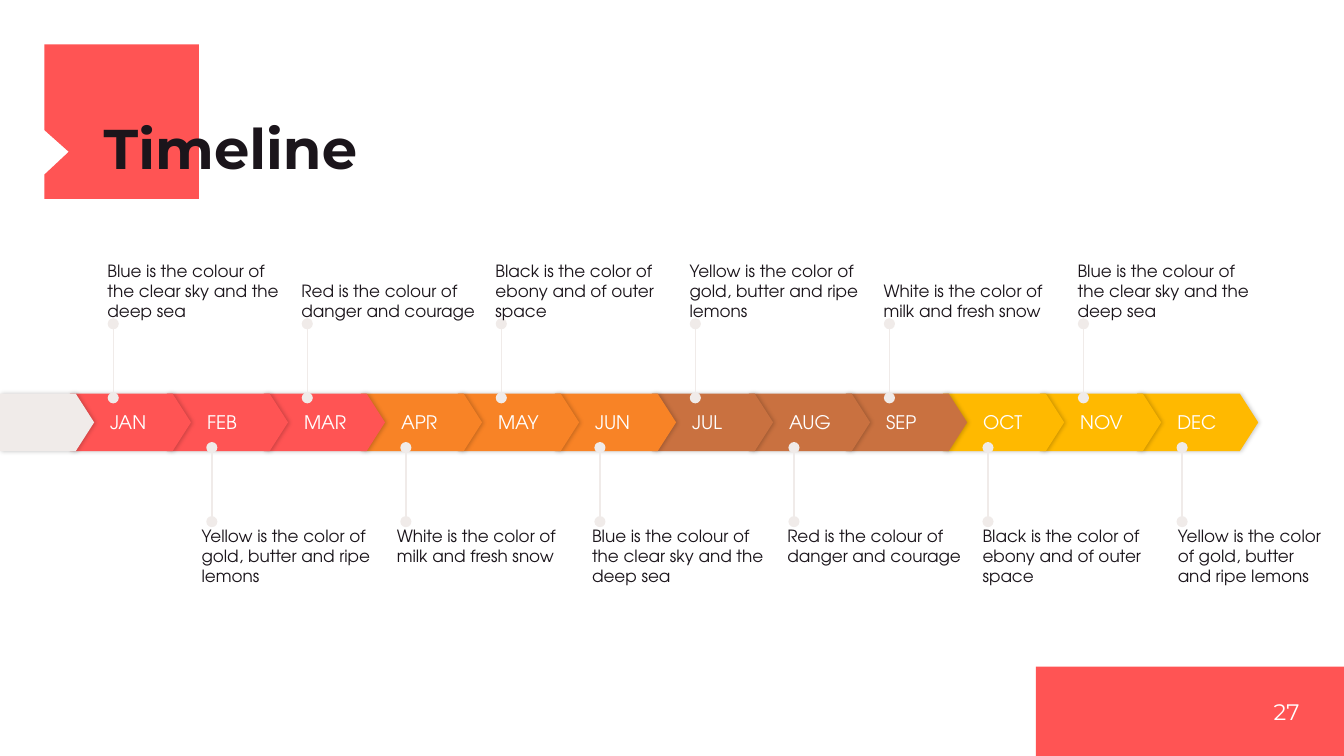
from dataclasses import dataclass

from lxml import etree
from pptx import Presentation
from pptx import util as u
from pptx.dml import color
from pptx.enum import shapes, text
from pptx.oxml import ns

RED = color.RGBColor(0xFF, 0x54, 0x54)
ORANGE = color.RGBColor(0xF8, 0x83, 0x26)
BROWN = color.RGBColor(0xC9, 0x71, 0x40)
YELLOW = color.RGBColor(0xFF, 0xB9, 0x00)
PALE = color.RGBColor(0xF0, 0xEB, 0xE9)
INK = color.RGBColor(0x1B, 0x15, 0x1B)
WHITE = color.RGBColor(0xFF, 0xFF, 0xFF)
HEADING_FONT = "Montserrat"
BODY_FONT = "TeX Gyre Adventor"

# Timeline grid, in centimetres
FIRST_LEFT, LAST_LEFT = 1.32, 21.49
PITCH = (LAST_LEFT - FIRST_LEFT) / 11
BAND_TOP, BAND_HEIGHT = 7.44, 1.09
ARROW_WIDTH = 2.29
CAPTION_HEIGHT = 1.47


@dataclass(frozen=True)
class Month:
    name: str
    caption: str


@dataclass(frozen=True)
class Side:
    """Places of pins and captions on one side of the band."""
    pin_offset: float
    pin_start: float
    pin_end: float
    caption_left: float
    caption_step: float
    caption_top: float
    anchor: text.MSO_ANCHOR


ABOVE = Side(0.82, 7.52, 6.12, 2.03, 2 * PITCH, 4.6, text.MSO_ANCHOR.BOTTOM)
BELOW = Side(0.85, 9.86, 8.46, 3.81, 3.69, 9.93, text.MSO_ANCHOR.TOP)

BLUE_TEXT = "Blue is the colour of the clear sky and the deep sea"
RED_TEXT = "Red is the colour of danger and courage"
BLACK_TEXT = "Black is the color of ebony and of outer space"
YELLOW_TEXT = "Yellow is the color of gold, butter and ripe lemons"
WHITE_TEXT = "White is the color of milk and fresh snow"

MONTHS = [
    Month("JAN", BLUE_TEXT), Month("FEB", YELLOW_TEXT), Month("MAR", RED_TEXT),
    Month("APR", WHITE_TEXT), Month("MAY", BLACK_TEXT), Month("JUN", BLUE_TEXT),
    Month("JUL", YELLOW_TEXT), Month("AUG", RED_TEXT), Month("SEP", WHITE_TEXT),
    Month("OCT", BLACK_TEXT), Month("NOV", BLUE_TEXT), Month("DEC", YELLOW_TEXT),
]
QUARTER_FILLS = [RED, ORANGE, BROWN, YELLOW]


def write(shape, content: str, size: float, font: str, fill: color.RGBColor,
          anchor: text.MSO_ANCHOR, align=text.PP_ALIGN.LEFT, inset: float = 0):
    """Put one formatted paragraph in a shape and return it."""
    frame = shape.text_frame
    frame.word_wrap = True
    frame.auto_size = text.MSO_AUTO_SIZE.NONE
    frame.vertical_anchor = anchor
    frame.margin_left = u.Cm(inset)
    frame.margin_top = frame.margin_right = frame.margin_bottom = 0
    frame.text = content
    para = frame.paragraphs[0]
    para.alignment = align
    para.font.size = u.Pt(size)
    para.font.name = font
    para.font.color.rgb = fill
    return para


def add_text(page, left: float, top: float, width: float, height: float,
             content: str, *style, **options) -> None:
    box = page.shapes.add_textbox(u.Cm(left), u.Cm(top), u.Cm(width), u.Cm(height))
    write(box, content, *style, **options)


def paint(shape, fill: color.RGBColor) -> None:
    shape.fill.solid()
    shape.fill.fore_color.rgb = fill
    shape.line.fill.background()
    shape.shadow.inherit = False


def add_arrow(page, left: float, width: float, fill: color.RGBColor):
    arrow = page.shapes.add_shape(
        shapes.MSO_SHAPE.PENTAGON, u.Cm(left), u.Cm(BAND_TOP), u.Cm(width), u.Cm(BAND_HEIGHT))
    arrow.adjustments[0] = 0.32
    paint(arrow, fill)
    # Soft shadow to the right
    effects = arrow.element.spPr.find(ns.qn("a:effectLst"))
    shadow = etree.SubElement(effects, ns.qn("a:outerShdw"), blurRad=str(u.Pt(2.2)),
                              dist=str(u.Pt(0.8)), dir="0", algn="l", rotWithShape="0")
    tint = etree.SubElement(shadow, ns.qn("a:srgbClr"), val="000000")
    etree.SubElement(tint, ns.qn("a:alpha"), val="20000")
    return arrow


def add_pin(page, x: float, start: float, end: float) -> None:
    pin = page.shapes.add_connector(
        shapes.MSO_CONNECTOR.STRAIGHT, u.Cm(x), u.Cm(start), u.Cm(x), u.Cm(end))
    pin.line.color.rgb = PALE
    pin.line.width = u.Pt(0.75)
    properties = pin.element.spPr
    outline = properties.find(ns.qn("a:ln"))
    for tag in ("a:headEnd", "a:tailEnd"):
        etree.SubElement(outline, ns.qn(tag), type="oval")
    etree.SubElement(properties, ns.qn("a:effectLst"))


def add_event(page, index: int, month: Month) -> None:
    side = BELOW if index % 2 else ABOVE
    add_pin(page, FIRST_LEFT + index * PITCH + side.pin_offset, side.pin_start, side.pin_end)
    width = 2.87 if index == len(MONTHS) - 1 else 3.48
    add_text(page, side.caption_left + index // 2 * side.caption_step, side.caption_top,
             width, CAPTION_HEIGHT, month.caption, 9, BODY_FONT, INK, side.anchor)


def main() -> None:
    deck = Presentation()
    deck.slide_width, deck.slide_height = u.Cm(25.4), u.Cm(14.29)
    page = deck.slides.add_slide(deck.slide_layouts[5])

    # Notched square behind the title
    outline = [(0.84, 0.84), (3.76, 0.84), (3.76, 3.76), (0.84, 3.76),
               (0.84, 3.3), (1.3, 2.87), (0.84, 2.46)]
    points = [(u.Cm(x), u.Cm(y)) for x, y in outline]
    builder = page.shapes.build_freeform(*points[0])
    builder.add_line_segments(points[1:], close=True)
    paint(builder.convert_to_shape(), RED)

    # Corner block with the page number
    corner = page.shapes.add_shape(
        shapes.MSO_SHAPE.RECTANGLE, u.Cm(19.58), u.Cm(12.6), u.Cm(5.82), u.Cm(1.69))
    paint(corner, RED)
    add_text(page, 22.86, 12.6, 1.7, 1.69, "27", 12, HEADING_FONT, WHITE,
             text.MSO_ANCHOR.MIDDLE, align=text.PP_ALIGN.RIGHT)

    # Title, brought in front of the square
    title = page.shapes.title
    title.left, title.top = u.Cm(1.96), u.Cm(2.31)
    title.width, title.height = u.Cm(14.25), u.Cm(1.09)
    para = write(title, "Timeline", 30, HEADING_FONT, INK, text.MSO_ANCHOR.BOTTOM)
    para.font.bold = True
    para.line_spacing = 0.8
    title.element.getparent().append(title.element)

    # Month band, last month at the back
    for index, month in reversed(list(enumerate(MONTHS))):
        arrow = add_arrow(page, FIRST_LEFT + index * PITCH, ARROW_WIDTH, QUARTER_FILLS[index // 3])
        write(arrow, month.name, 10, BODY_FONT, WHITE, text.MSO_ANCHOR.MIDDLE, inset=0.76)
    add_arrow(page, 0, 1.78, PALE)

    # Pins and captions, first above and then below the band
    for start in (0, 1):
        for index in range(start, len(MONTHS), 2):
            add_event(page, index, MONTHS[index])

    deck.save("out.pptx")


if __name__ == "__main__":
    main()
